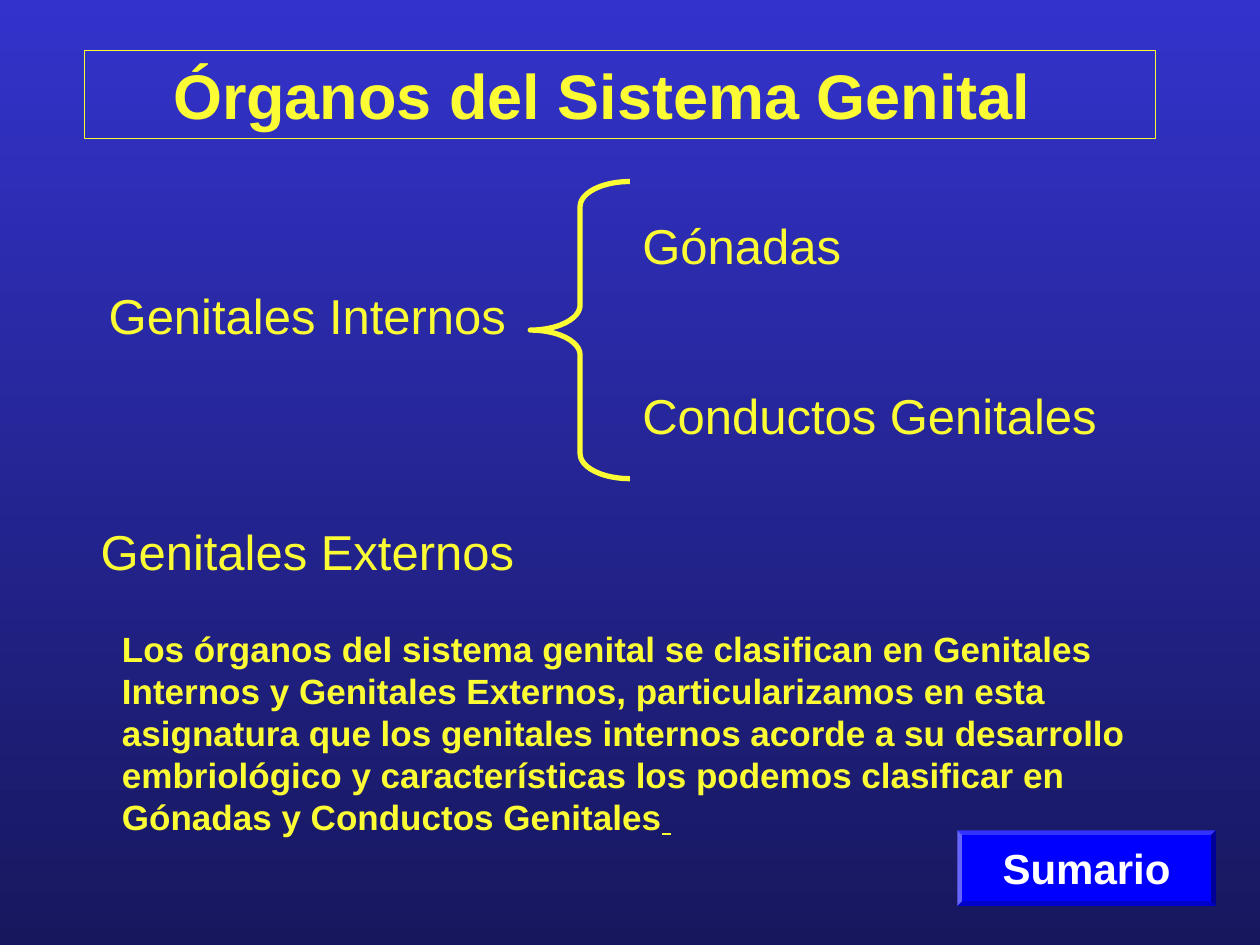
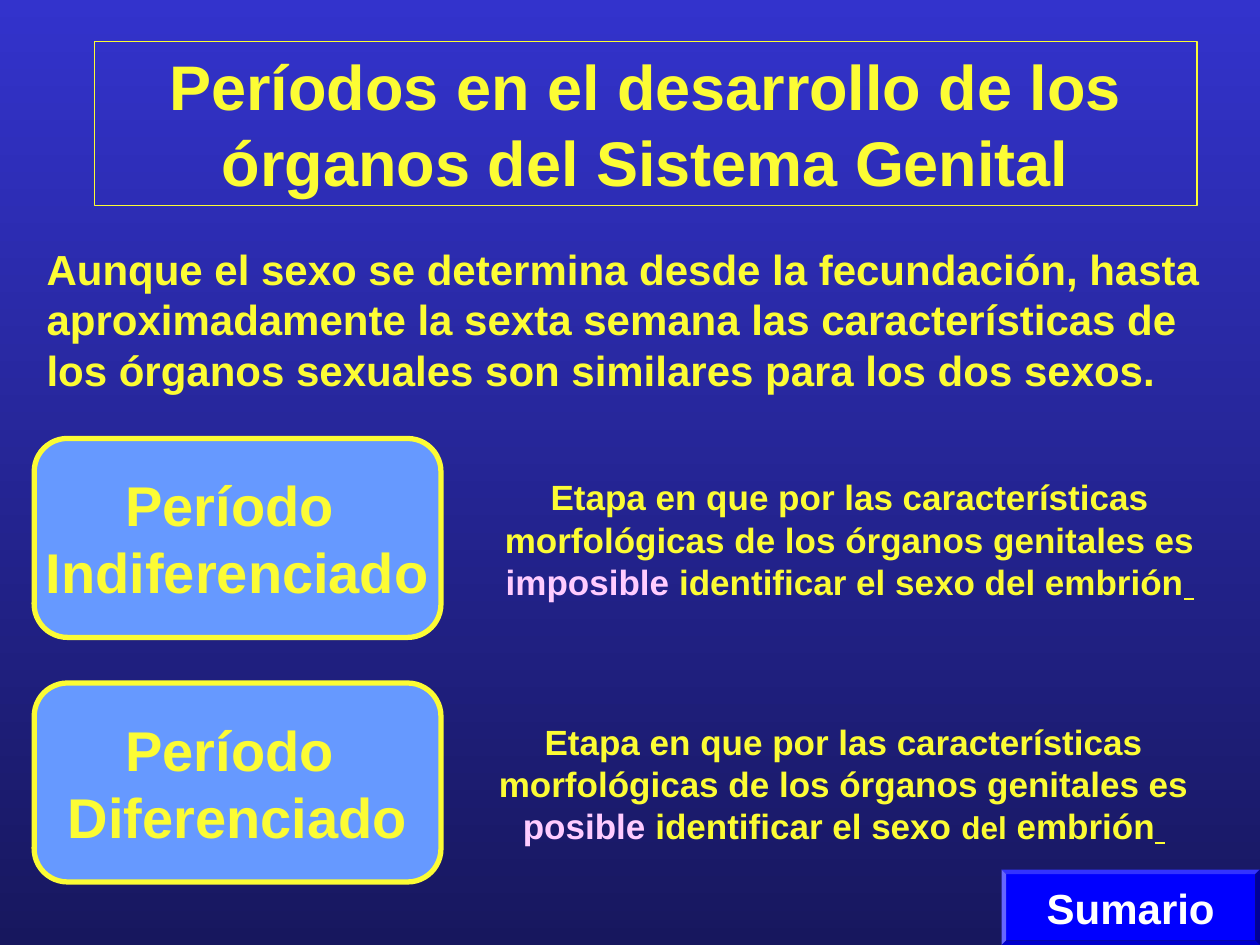
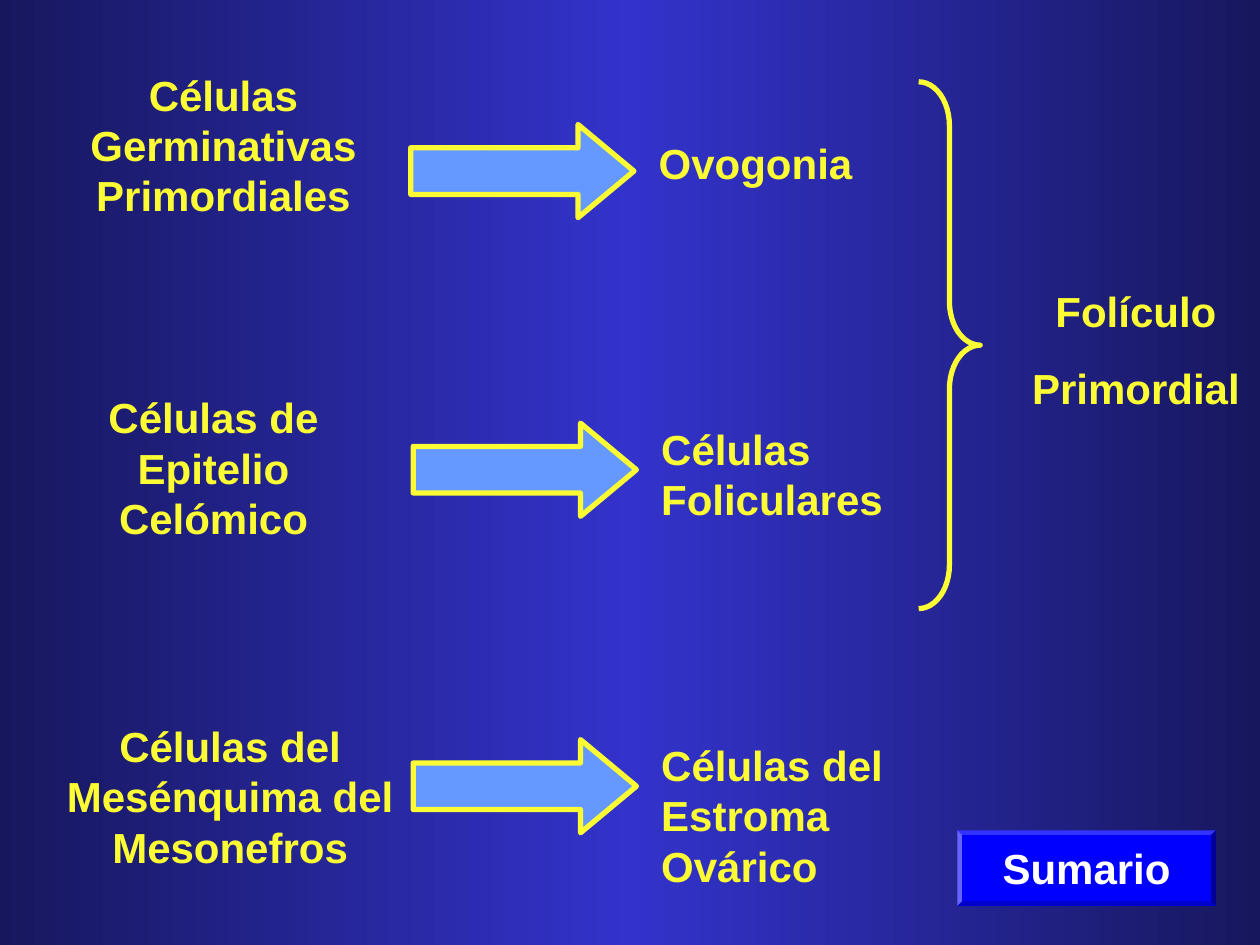
from lxml import etree
from pptx import Presentation
from pptx.dml.color import RGBColor
from pptx.enum.shapes import MSO_SHAPE
from pptx.enum.text import MSO_ANCHOR, PP_ALIGN
from pptx.oxml.ns import qn
from pptx.util import Cm, Pt

RECT, ROUND = MSO_SHAPE.RECTANGLE, MSO_SHAPE.ROUNDED_RECTANGLE
ARROW, BEVEL = MSO_SHAPE.RIGHT_ARROW, MSO_SHAPE.BEVEL
LBRACE, RBRACE = MSO_SHAPE.LEFT_BRACE, MSO_SHAPE.RIGHT_BRACE
LEFT, MID = PP_ALIGN.LEFT, PP_ALIGN.CENTER
TOP, HALF = MSO_ANCHOR.TOP, MSO_ANCHOR.MIDDLE

COLORS = {
    "yellow": "FCFC34", "pink": "FFCCFF", "white": "FFFFFF",
    "sky": "6699FF", "button": "0000FF", "blue": "3333CC", "navy": "17175E",
}
RGB = {name: RGBColor.from_string(code) for name, code in COLORS.items()}

TITLE = {"size": 36, "bold": True, "align": MID}
TERM = {"size": 28, "bold": False}
NOTE = {"size": 20, "bold": True}
LABEL = {"size": 24, "bold": True}
STAGE = {"size": 32, "bold": True, "align": MID, "anchor": HALF, "wrap": False}
BUTTON = {**LABEL, "color": "white", "align": MID, "anchor": HALF, "wrap": False}
UNDER = (" ", {"underline": True})


def write(shape, paras, style):
    frame = shape.text_frame
    frame.word_wrap = style.get("wrap", True)
    frame.vertical_anchor = style.get("anchor", TOP)
    for i, runs in enumerate(paras):
        para = frame.paragraphs[0] if i == 0 else frame.add_paragraph()
        para.alignment = style.get("align", LEFT)
        if i:
            para.space_before = Pt(style.get("gap", 0))
        for text, extra in runs:
            look = {**style, **extra}
            run = para.add_run()
            run.text = text
            font = {
                "name": "Arial", "size": Pt(look["size"]), "bold": look["bold"],
                "underline": look.get("underline", False),
            }
            for key, value in font.items():
                setattr(run.font, key, value)
            run.font.color.rgb = RGB[look.get("color", "yellow")]


def draw(slide, kind, place, fill=None, line=None, adjust=()):
    shape = slide.shapes.add_shape(kind, *map(Cm, place))
    shape.shadow.inherit = False
    if fill:
        shape.fill.solid()
        shape.fill.fore_color.rgb = RGB[fill]
    else:
        shape.fill.background()
    if line:
        shape.line.color.rgb = RGB["yellow"]
        shape.line.width = Pt(line)
    else:
        shape.line.fill.background()
    for i, value in enumerate(adjust):
        shape.adjustments[i] = value
    return shape


deck = Presentation()
deck.slide_width, deck.slide_height = Cm(25.4), Cm(19.05)

slides = []
for angle, stops in [
    (270, ["blue", "navy"]),
    (270, ["blue", "navy"]),
    (0, ["navy", "blue", "navy"]),
]:
    slide = deck.slides.add_slide(deck.slide_layouts[6])
    fill = slide.background.fill
    fill.gradient()
    fill.gradient_angle = angle
    ramp = next(slide.element.iter(qn("a:gsLst")))
    for old in list(ramp):
        ramp.remove(old)
    for i, name in enumerate(stops):
        pos = str(100000 * i // (len(stops) - 1))
        stop = etree.SubElement(ramp, qn("a:gs"), pos=pos)
        etree.SubElement(stop, qn("a:srgbClr"), val=COLORS[name])
    slides.append(slide)
organs, stages, cells = slides

title = draw(organs, RECT, (1.7, 1.02, 21.59, 1.78), line=0.75)
title.text_frame.margin_right = Cm(0.97)
write(title, [[("Órganos del Sistema Genital", {})]], TITLE)

for text, place, align in [
    ("Genitales Externos", (1.7, 10.39, 8.99, 1.45), MID),
    ("Genitales Internos", (1.7, 5.64, 8.99, 1.45), MID),
    ("Gónadas", (12.7, 4.22, 8.99, 1.45), LEFT),
    ("Conductos Genitales", (12.7, 7.65, 11, 1.45), LEFT),
]:
    box = organs.shapes.add_textbox(*map(Cm, place))
    write(box, [[(text, {})]], {**TERM, "align": align})

draw(organs, LBRACE, (10.69, 3.66, 2.01, 5.99), line=3, adjust=(0.25, 0.5))

box = organs.shapes.add_textbox(Cm(2.21), Cm(12.52), Cm(22.12), Cm(4.5))
write(box, [[(
    "Los órganos del sistema genital se clasifican en Genitales Internos y "
    "Genitales Externos, particularizamos en esta asignatura que los genitales "
    "internos acorde a su desarrollo embriológico y características los podemos "
    "clasificar en Gónadas y Conductos Genitales", {}), UNDER]], NOTE)

title = draw(stages, RECT, (1.9, 0.84, 22.23, 3.3), line=0.75)
write(title, [[(
    "Períodos en el desarrollo de los órganos del Sistema Genital", {})]], TITLE)

box = stages.shapes.add_textbox(Cm(0.69), Cm(4.78), Cm(24), Cm(3.3))
write(box, [[(
    "Aunque el sexo se determina desde la fecundación, hasta aproximadamente "
    "la sexta semana las características de los órganos sexuales son similares "
    "para los dos sexos.", {})]], LABEL)

for name, top, left, word, size in [
    ("Indiferenciado", 8.84, 9.7, "imposible", 20),
    ("Diferenciado", 13.77, 9.58, "posible", 18),
]:
    card = draw(stages, ROUND, (0.69, top, 8.2, 4.01), "sky", 3, (0.167,))
    write(card, [[("Período ", {})], [(name, {})]], STAGE)
    box = stages.shapes.add_textbox(Cm(left), Cm(top + 0.63), Cm(14.86), Cm(2.79))
    write(box, [[
        ("Etapa en que por las características morfológicas "
         "de los órganos genitales es ", {}),
        (word, {"color": "pink"}),
        (" identificar el sexo ", {}),
        ("del", {"size": size}),
        (" embrión", {}),
        UNDER,
    ]], {**NOTE, "align": MID})

for text, place, align in [
    ("Células Germinativas Primordiales", (1.19, 1.27, 6.63, 3.3), MID),
    ("Células de Epitelio Celómico", (0.99, 7.77, 6.63, 3.3), MID),
    ("Células del Mesénquima del Mesonefros", (1.07, 14.4, 7.14, 3.3), MID),
    ("Ovogonia", (13.03, 2.64, 5, 1.27), LEFT),
    ("Células Foliculares", (13.08, 8.41, 5, 2.29), LEFT),
    ("Células del Estroma Ovárico", (13.08, 14.78, 5, 3.3), LEFT),
]:
    box = cells.shapes.add_textbox(*map(Cm, place))
    write(box, [[(text, {})]], {**LABEL, "align": align})

for left, top in [(8.28, 2.51), (8.33, 8.53), (8.33, 14.91)]:
    draw(cells, ARROW, (left, top, 4.5, 1.88), "sky", 3, (0.5, 0.6))

draw(cells, RBRACE, (18.52, 1.65, 1.24, 10.62), line=3, adjust=(0.71, 0.5))
box = cells.shapes.add_textbox(Cm(20.4), Cm(5.64), Cm(5), Cm(2.82))
write(box, [[("Folículo", {})], [("Primordial", {})]],
      {**LABEL, "align": MID, "gap": 15})

for slide, left, top in [
    (organs, 19.3, 16.74), (stages, 20.19, 17.53), (cells, 19.3, 16.74),
]:
    button = draw(slide, BEVEL, (left, top, 5.21, 1.52), "button", adjust=(0.06,))
    write(button, [[("Sumario", {})]], BUTTON)

deck.save("out.pptx")
